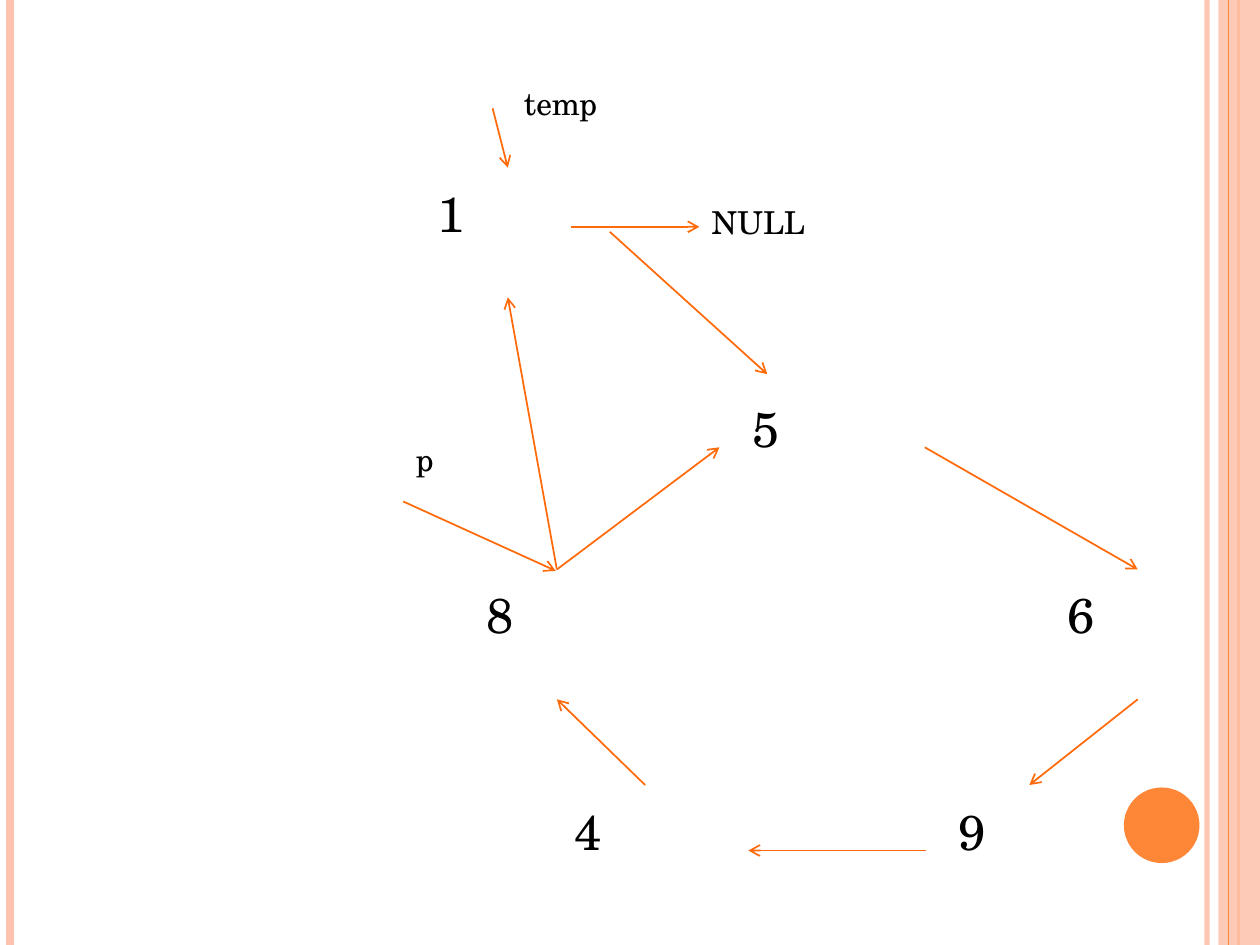
import pptx
import pptx.util
import pptx.dml.color
import pptx.enum.shapes
import pptx.enum.text
import pptx.oxml
import pptx.oxml.ns
from lxml import etree
from pptx.util import Inches

qn = pptx.oxml.ns.qn
color = pptx.dml.color.RGBColor.from_string
presentation = pptx.Presentation()
presentation.slide_width = Inches(10)
presentation.slide_height = Inches(7.5)
slide = presentation.slides.add_slide(presentation.slide_layouts[6])


def add_line(start, end, line_color, width):
    connector = slide.shapes.add_connector(
        pptx.enum.shapes.MSO_CONNECTOR.STRAIGHT,
        *[Inches(length) for length in (*start, *end)],
    )
    connector.line.color.rgb = color(line_color)
    connector.line.width = pptx.util.Pt(width)
    etree.SubElement(connector.element.spPr, qn("a:effectLst"))
    return connector


def add_text(text, left, top, width, height, size=28, font="TeX Gyre Schola", text_color="000000"):
    box = slide.shapes.add_textbox(Inches(left), Inches(top), Inches(width), Inches(height))
    box.text_frame.word_wrap = False
    box.text_frame.auto_size = pptx.enum.text.MSO_AUTO_SIZE.SHAPE_TO_FIT_TEXT
    run = box.text_frame.paragraphs[0].add_run()
    run.text = text
    run.font.size = pptx.util.Pt(size)
    run.font.name = font
    run.font.color.rgb = color(text_color)


right_edge = add_line((9.58, 0), (9.58, 7.5), "FEC3AE", 3)
add_line((0.08, 0), (0.08, 7.5), "FEC3AE", 4.5)
add_line((9.83, 0), (9.83, 7.5), "FE8637", 1.5)
side_band = slide.shapes.add_shape(
    pptx.enum.shapes.MSO_SHAPE.RECTANGLE, Inches(9.67), 0, Inches(0.33), Inches(7.5)
)
add_line((9.75, 0), (9.75, 7.5), "FE8637", 0.75)
circle = slide.shapes.add_shape(
    pptx.enum.shapes.MSO_SHAPE.OVAL, Inches(8.92), Inches(6.25), Inches(0.6), Inches(0.6)
)
for shape, fill_color in ((side_band, "FEC3AE"), (circle, "FE8637")):
    shape.shadow.inherit = False
    shape.fill.solid()
    shape.fill.fore_color.rgb = color(fill_color)
    shape.line.fill.background()
for shape, opacity in ((right_edge, 93), (side_band, 87)):
    fill = next(shape.element.spPr.iter(qn("a:srgbClr")))
    etree.SubElement(fill, qn("a:alpha"), val=str(opacity * 1000))

arrows = [
    ((7.34, 3.55), (9.03, 4.52)),
    ((7.35, 6.75), (5.94, 6.75)),
    ((5.12, 6.23), (4.42, 5.55)),
    ((4.42, 4.52), (5.71, 3.55)),
    ((9.03, 5.55), (8.17, 6.23)),
    ((3.2, 3.98), (4.41, 4.53)),
    ((3.91, 0.86), (4.03, 1.33)),
    ((4.53, 1.8), (5.55, 1.8)),
    ((4.84, 1.84), (6.09, 2.97)),
    ((4.42, 4.52), (4.03, 2.36)),
]
for start, end in arrows:
    arrow = add_line(start, end, "FF6B0A", 1)
    etree.SubElement(arrow.element.spPr.find(qn("a:ln")), qn("a:tailEnd"), type="arrow")

nodes = [
    ("5", 5.87, 3.11),
    ("6", 8.37, 4.59),
    ("9", 7.51, 6.31),
    ("4", 4.46, 6.31),
    ("8", 3.76, 4.59),
    ("1", 3.37, 1.41),
]
for value, left, top in nodes:
    add_text(value, left, top, 0.42, 0.57)

pointers = [("p", 3.2, 3.44, 0.35), ("temp", 4.06, 0.62, 0.8), ("NULL", 5.55, 1.56, 0.95)]
for name, left, top, width in pointers:
    add_text(name, left, top, width, 0.4, size=18)

presentation.save("out.pptx")
